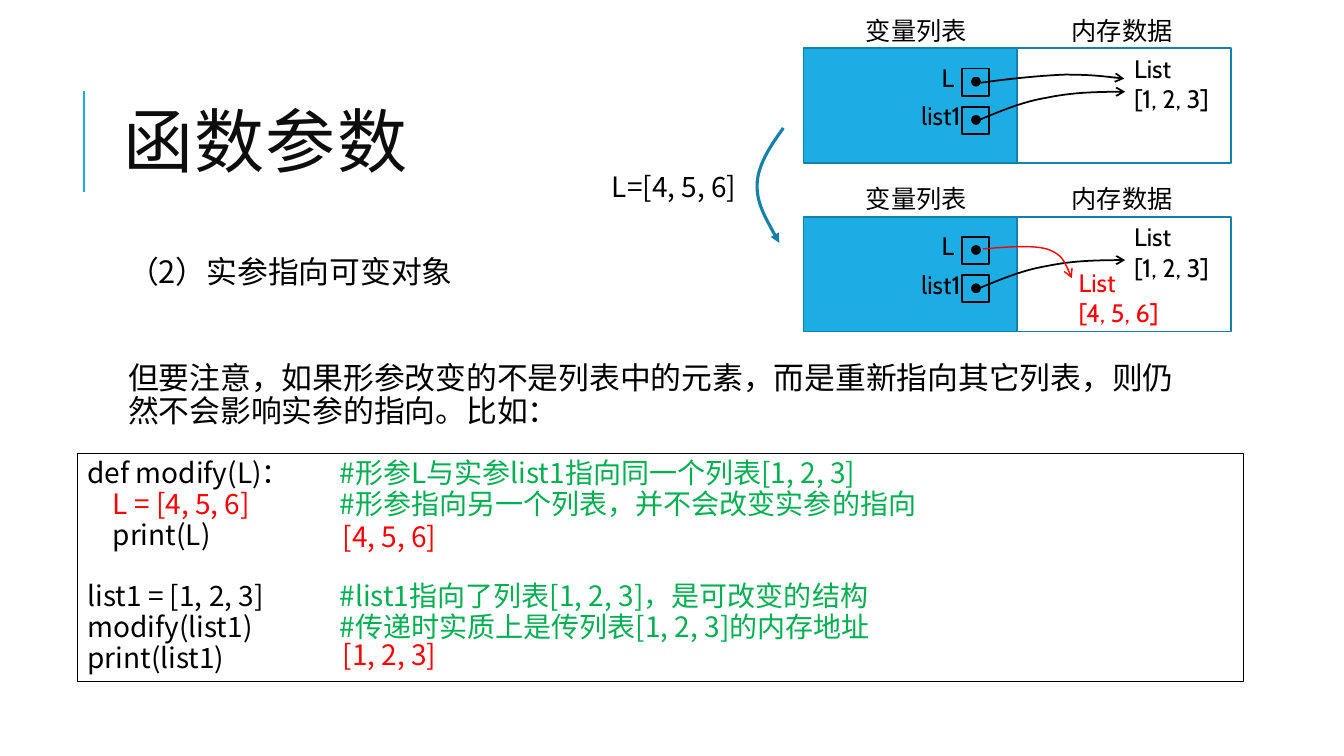
import pptx
import pptx.dml.color
import pptx.enum.shapes
import pptx.enum.text
import pptx.oxml
import pptx.oxml.ns
import pptx.util
from lxml import etree

Inches = pptx.util.Inches
Pt = pptx.util.Pt
qn = pptx.oxml.ns.qn
RECT = pptx.enum.shapes.MSO_SHAPE.RECTANGLE
OVAL = pptx.enum.shapes.MSO_SHAPE.OVAL
ANCHOR = pptx.enum.text.MSO_ANCHOR
AUTO_SIZE = pptx.enum.text.MSO_AUTO_SIZE
LEFT = pptx.enum.text.PP_ALIGN.LEFT

SANS, CABIN = "Noto Sans CJK SC", "Cabin"
BLACK, RED, GREEN = "000000", "FF0000", "00B050"
BLUE, DARK_BLUE = "1CADE4", "1580A9"

# Curves inside a memory panel, relative to its top left corner
LIST1_POINTER = [(1.74, 0.71), (1.96, 0.62), (2.17, 0.53), (2.41, 0.49),
                 (2.65, 0.44), (2.92, 0.43), (3.19, 0.43)]
L_POINTER_BEFORE = [(1.76, 0.34), (2.05, 0.3), (2.35, 0.27), (2.59, 0.26),
                    (2.83, 0.26), (3.01, 0.28), (3.18, 0.3)]
L_POINTER_AFTER = [(1.78, 0.32), (2.02, 0.3), (2.26, 0.28), (2.41, 0.32),
                   (2.56, 0.37), (2.61, 0.49), (2.66, 0.61)]
REASSIGN_ARROW = [(0.26, 0), (0.13, 0.18), (0.01, 0.36), (0, 0.55),
                  (-0.01, 0.74), (0.11, 0.94), (0.22, 1.14)]

CODE_LINES = [
    ("def modify(L)：", BLACK, "#形参L与实参list1指向同一个列表[1, 2, 3]"),
    ("\tL = [4, 5, 6]", RED, "#形参指向另一个列表，并不会改变实参的指向"),
    ("\tprint(L)", BLACK, ""),
    ("list1 = [1, 2, 3]", BLACK, "#list1指向了列表[1, 2, 3]，是可改变的结构"),
    ("modify(list1)", BLACK, "#传递时实质上是传列表[1, 2, 3]的内存地址"),
    ("print(list1)", BLACK, ""),
]


def rgb(color):
    return pptx.dml.color.RGBColor.from_string(color)


def add_run(paragraph, text, size, color, font=SANS):
    run = paragraph.add_run()
    run.text = text
    run.font.size = Pt(size)
    run.font.name = font
    run.font.color.rgb = rgb(color)
    east_asian = etree.SubElement(run.font._element, qn("a:ea"))
    east_asian.set("typeface", SANS)
    return run


def place(shape, left, top, width, height):
    shape.left, shape.top = Inches(left), Inches(top)
    shape.width, shape.height = Inches(width), Inches(height)


def add_box(shapes, kind, box, line, weight, fill=None):
    shape = shapes.add_shape(kind, *map(Inches, box))
    shape.shadow.inherit = False
    if fill:
        shape.fill.solid()
        shape.fill.fore_color.rgb = rgb(fill)
    else:
        shape.fill.background()
    shape.line.color.rgb = rgb(line)
    shape.line.width = Pt(weight)
    return shape


def add_label(shapes, box, lines, size, color=BLACK, font=CABIN):
    frame = shapes.add_textbox(*map(Inches, box)).text_frame
    frame.word_wrap = False
    frame.auto_size = AUTO_SIZE.SHAPE_TO_FIT_TEXT
    for number, line in enumerate(lines):
        paragraph = frame.add_paragraph() if number else frame.paragraphs[0]
        add_run(paragraph, line, size, color, font)


def add_curved_arrow(shapes, left, top, points, color, weight, head="arrow"):
    """Draw Bezier segments: a start point, then three points per segment."""
    start, *rest = [(Inches(left + x), Inches(top + y)) for x, y in points]
    builder = shapes.build_freeform(*start)
    builder.add_line_segments(rest, close=False)
    curve = builder.convert_to_shape()
    segments = curve._element.findall(".//" + qn("a:lnTo"))
    for first, second, third in zip(*[iter(segments)] * 3):
        first.tag = qn("a:cubicBezTo")
        for other in (second, third):
            first.append(other[0])
            other.getparent().remove(other)
    curve.shadow.inherit = False
    curve.fill.background()
    curve.line.color.rgb = rgb(color)
    curve.line.width = Pt(weight)
    etree.SubElement(curve.line._get_or_add_ln(), qn("a:tailEnd")).set("type", head)


def add_title(slide, left, top, width, height):
    title = slide.shapes.title
    place(title, left, top, width, height)
    title.text_frame.vertical_anchor = ANCHOR.MIDDLE
    paragraph = title.text_frame.paragraphs[0]
    paragraph.alignment = LEFT
    paragraph.line_spacing = 0.8
    run = add_run(paragraph, "函数参数", 50, "0D0D0D")
    run.font._element.set("spc", "100")

    accent = slide.shapes.add_connector(
        pptx.enum.shapes.MSO_CONNECTOR.STRAIGHT,
        *map(Inches, (left - 0.29, top + 1.26, left - 0.29, top + 0.26)))
    accent.line.color.rgb = rgb(BLUE)
    accent.line.width = Pt(1.5)
    etree.SubElement(accent._element.spPr, qn("a:effectLst"))


def add_explanation(slide, left, top, width, height):
    body = slide.placeholders[1]
    place(body, left, top, width, height)
    frame = body.text_frame
    frame.auto_size = AUTO_SIZE.NONE
    frame.margin_left = frame.margin_right = Inches(0.05)
    frame.margin_top = frame.margin_bottom = Inches(0.05)
    heading, warning = frame.paragraphs[0], frame.add_paragraph()
    add_run(heading, "（2）实参指向可变对象", 22, BLACK)
    add_run(warning, "但要注意，如果形参改变的不是列表中的元素，而是重新指向其它列表，"
                     "则仍然不会影响实参的指向。比如：", 22, BLACK)
    for paragraph, gap in ((heading, 0), (warning, 50)):
        paragraph.line_spacing = Pt(23.5)
        paragraph.space_before, paragraph.space_after = Pt(gap), Pt(2)
        properties = paragraph._p.get_or_add_pPr()
        properties.set("marL", str(Inches(0.1)))
        properties.set("indent", "0")
        etree.SubElement(properties, qn("a:buNone"))


def add_code(slide, left, top, width, height):
    listing = add_box(slide.shapes, RECT, (left, top, width, height), BLACK, 0.75)
    frame = listing.text_frame
    frame.vertical_anchor = ANCHOR.TOP
    frame.word_wrap = True
    for number, (code, color, comment) in enumerate(CODE_LINES):
        paragraph = frame.add_paragraph() if number else frame.paragraphs[0]
        paragraph.alignment = LEFT
        paragraph.line_spacing = Pt(22)
        if code.startswith("list1"):
            paragraph.space_before = Pt(22)
        stops = etree.SubElement(paragraph._p.get_or_add_pPr(), qn("a:tabLst"))
        for position in (0.25, 2.5):
            stop = etree.SubElement(stops, qn("a:tab"))
            stop.set("pos", str(Inches(position)))
            stop.set("algn", "l")
        add_run(paragraph, code, 20, color)
        if comment:
            add_run(paragraph, "\t" + comment, 20, GREEN)
    for output, offset in (("[4, 5, 6]", 0.6), ("[1, 2, 3]", 1.78)):
        add_label(slide.shapes, (left + 2.53, top + offset, 1.27, 0.44),
                  [output], 20, RED, SANS)


def add_memory_panel(slide, left, top, l_pointer, pointer_color, pointer_weight, new_list=()):
    """Show variables beside the lists they point to."""
    shapes = slide.shapes.add_group_shape().shapes
    half, height = 2.12, 1.14
    add_box(shapes, RECT, (left, top, half, height), DARK_BLUE, 1.25, BLUE)
    add_box(shapes, RECT, (left + half, top, half, height), DARK_BLUE, 1.25)
    add_label(shapes, (left + 0.52, top - 0.38, 1.24, 0.4), ["变量列表"], 18)
    add_label(shapes, (left + 2.56, top - 0.38, 1.21, 0.4), ["内存数据"], 18)
    for name, x, width, y in (("L", 1.27, 0.3, 0.2), ("list1", 1.07, 0.61, 0.58)):
        add_box(shapes, RECT, (left + 1.57, top + y, 0.27, 0.27), BLACK, 1.25)
        add_box(shapes, OVAL, (left + 1.67, top + y + 0.09, 0.08, 0.08), BLACK, 1.25, BLACK)
        add_label(shapes, (left + x, top + y - 0.11, width, 0.4), [name], 18)
    add_label(shapes, (left + 3.18, top, 1.01, 0.71), ["List", "[1, 2, 3]"], 18)
    if new_list:
        add_label(shapes, (left + 2.63, top + 0.45, 1.01, 0.71), new_list, 18, RED)
    add_curved_arrow(shapes, left, top, LIST1_POINTER, BLACK, 1.25)
    add_curved_arrow(shapes, left, top, l_pointer, pointer_color, pointer_weight)


def add_reassignment(slide, left, top):
    add_label(slide.shapes, (left, top + 0.36, 1.54, 0.44), ["L=[4, 5, 6]"], 20, BLACK, SANS)
    add_curved_arrow(slide.shapes, left + 1.54, top, REASSIGN_ARROW, DARK_BLUE, 2.25, "triangle")


def main():
    deck = pptx.Presentation()
    deck.slide_width, deck.slide_height = Inches(13.33), Inches(7.5)
    slide = deck.slides.add_slide(deck.slide_layouts[1])
    add_title(slide, 1.12, 0.64, 10.63, 1.64)
    add_explanation(slide, 1.12, 2.5, 10.63, 4.4)
    add_code(slide, 0.77, 4.5, 11.56, 2.26)
    add_memory_panel(slide, 7.97, 0.48, L_POINTER_BEFORE, BLACK, 1.25)
    add_reassignment(slide, 5.97, 1.27)
    add_memory_panel(slide, 7.97, 2.15, L_POINTER_AFTER, RED, 1, ["List", "[4, 5, 6]"])
    deck.save("out.pptx")


if __name__ == "__main__":
    main()
